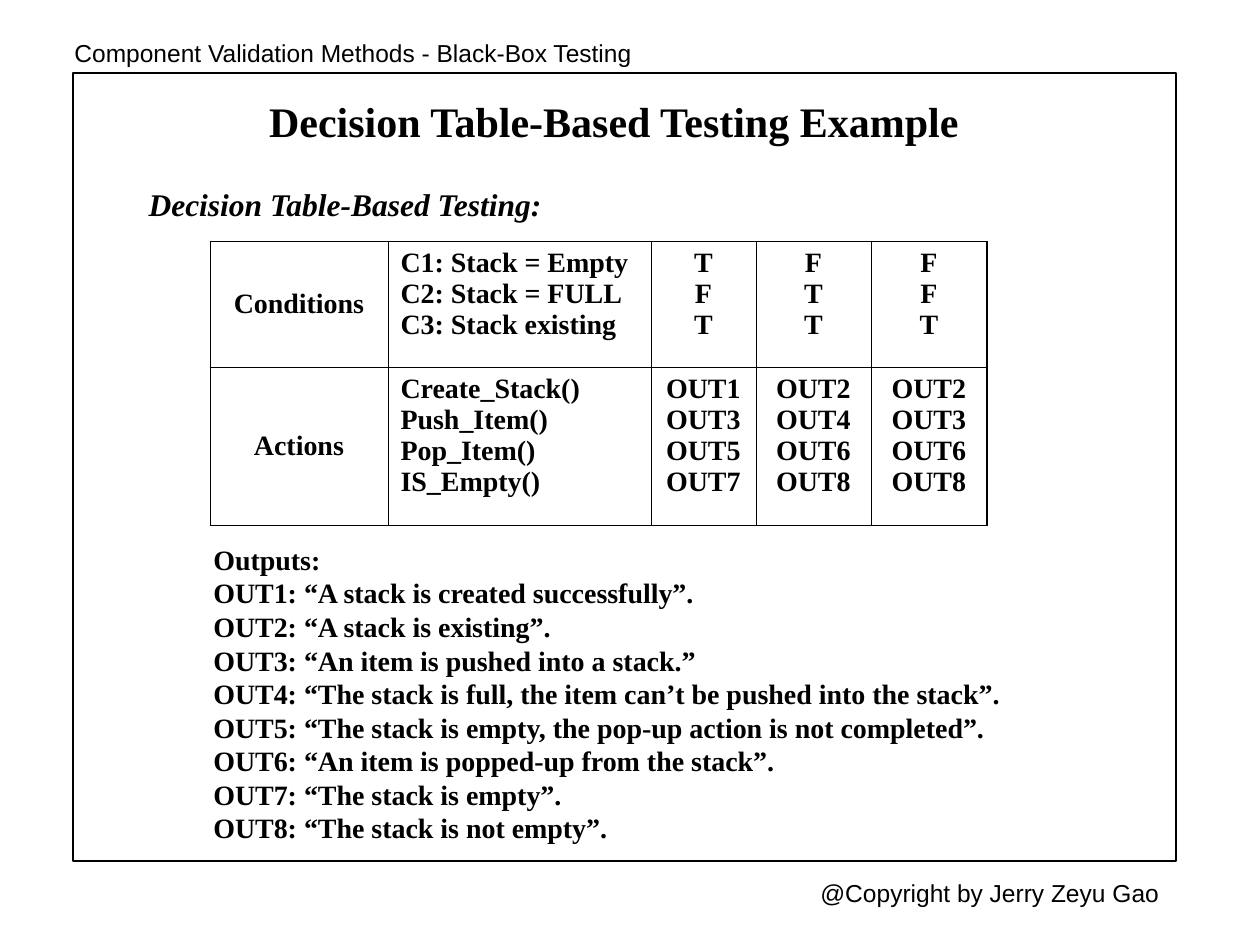
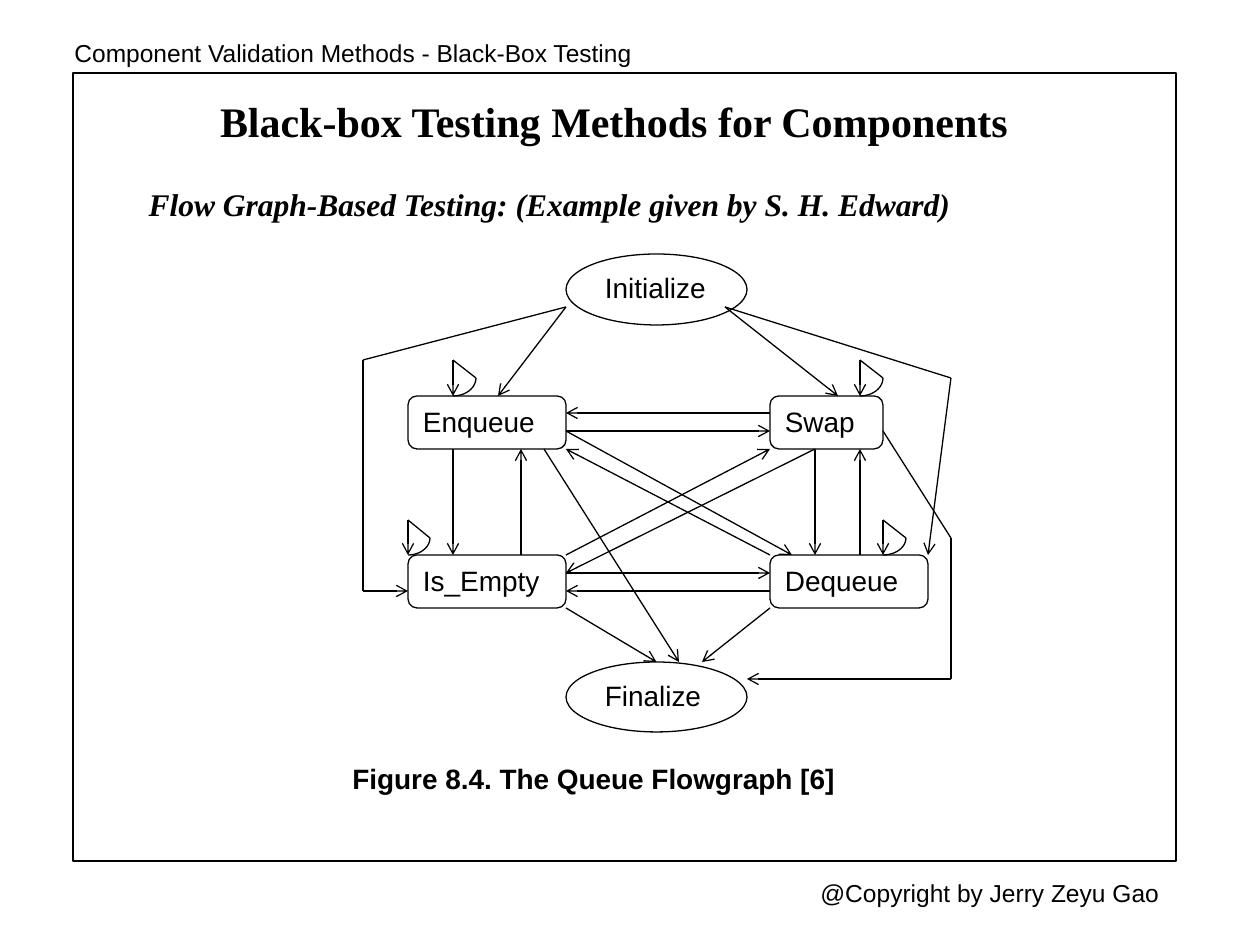
import itertools
import math

import pptx
import pptx.dml.color
import pptx.enum.shapes
import pptx.enum.text
import pptx.oxml
import pptx.oxml.ns
import pptx.util
from lxml import etree

PX = 914400 / 126
BLACK = pptx.dml.color.RGBColor(0x00, 0x00, 0x00)
SERIF = "Times New Roman"
SANS = "Arial"
LINE_WIDTH = 0.75

ALIGN = pptx.enum.text.PP_ALIGN
ANCHOR = pptx.enum.text.MSO_ANCHOR
AUTO_SIZE = pptx.enum.text.MSO_AUTO_SIZE
SHAPE = pptx.enum.shapes.MSO_SHAPE

HEADER = "Component Validation Methods - Black-Box Testing"
FOOTER = "@Copyright by Jerry Zeyu Gao"

DECISION_COLUMNS = [178, 263, 105, 115, 116]
DECISION_ROWS = [126, 158]
DECISIONS = [
    ["Conditions",
     "C1: Stack = Empty\nC2: Stack = FULL\nC3: Stack existing",
     "T\nF\nT", "F\nT\nT", "F\nF\nT"],
    ["Actions",
     "Create_Stack()\nPush_Item()\nPop_Item()\nIS_Empty()",
     "OUT1\nOUT3\nOUT5\nOUT7", "OUT2\nOUT4\nOUT6\nOUT8", "OUT2\nOUT3\nOUT6\nOUT8"],
]
OUTPUTS = [
    "Outputs:",
    "OUT1: “A stack is created successfully”.",
    "OUT2: “A stack is existing”.",
    "OUT3: “An item is pushed into a stack.”",
    "OUT4: “The stack is full, the item can’t be pushed into the stack”.",
    "OUT5: “The stack is empty, the pop-up action is not completed”.",
    "OUT6: “An item is popped-up from the stack”.",
    "OUT7: “The stack is empty”.",
    "OUT8: “The stack is not empty”.",
]

# Flowgraph positions are (column, row) on a fine grid.
STATES = [  # name, outline, column, row, columns wide, rows high
    ("Initialize", SHAPE.OVAL, 10, 0, 8, 4),
    ("Swap", SHAPE.FLOWCHART_ALTERNATE_PROCESS, 19, 8, 5, 3),
    ("Dequeue", SHAPE.FLOWCHART_ALTERNATE_PROCESS, 19, 17, 7, 3),
    ("Enqueue", SHAPE.FLOWCHART_ALTERNATE_PROCESS, 3, 8, 7, 3),
    ("Is_Empty", SHAPE.FLOWCHART_ALTERNATE_PROCESS, 3, 17, 7, 3),
    ("Finalize", SHAPE.OVAL, 10, 23, 8, 4),
]
TRANSITIONS = [
    [(10, 3), (7, 8)],                       # Initialize
    [(17, 3), (22, 8)],
    [(10, 3), (1, 6), (1, 19), (3, 19)],
    [(17, 3), (27, 7), (26, 17)],
    [(10, 10), (19, 10)],                    # Enqueue
    [(5, 11), (5, 17)],
    [(10, 10), (20, 17)],
    [(9, 11), (15, 23)],
    [(19, 9), (10, 9)],                      # Swap
    [(21, 11), (21, 17)],
    [(21, 11), (10, 18)],
    [(24, 10), (27, 16), (27, 24), (18, 24)],
    [(8, 17), (8, 11)],                      # Is_Empty
    [(10, 18), (19, 18)],
    [(10, 17), (19, 11)],
    [(19, 19), (10, 19)],                    # Dequeue
    [(23, 17), (23, 11)],
    [(19, 17), (10, 11)],
    [(19, 20), (16, 23)],
]
SELF_LOOPS = [(23, 8), (24, 17), (5, 8), (3, 17)]


def emu(*lengths):
    return [pptx.util.Emu(round(length * PX)) for length in lengths]


def grid(column, row):
    """Turn a flowgraph grid position into px."""
    return round(340 + 22.62 * column), round(254 + 17.72 * row)


def write(frame, text, font, size, bold=False, italic=False, align=ALIGN.LEFT):
    frame.text = text
    for paragraph in frame.paragraphs:
        paragraph.alignment = align
        paragraph.font.name = font
        paragraph.font.size = pptx.util.Pt(size)
        paragraph.font.bold = bold
        paragraph.font.italic = italic
        paragraph.font.color.rgb = BLACK


def place(placeholder, left, top, width, height):
    placeholder.left, placeholder.top, placeholder.width, placeholder.height = emu(
        left, top, width, height)
    placeholder.text_frame.auto_size = AUTO_SIZE.NONE
    return placeholder.text_frame


def add_label(slide, text, box, font, size, bold=False, wrap=False):
    frame = slide.shapes.add_textbox(*emu(*box)).text_frame
    frame.word_wrap = wrap
    if not wrap:
        frame.auto_size = AUTO_SIZE.SHAPE_TO_FIT_TEXT
    write(frame, text, font, size, bold)
    return frame


def outline(shape):
    shape.shadow.inherit = False
    shape.fill.background()
    shape.line.color.rgb = BLACK
    shape.line.width = pptx.util.Pt(LINE_WIDTH)
    return shape


def add_topic_slide(deck, title, topic):
    """Add a slide with the shared frame, header, footer, title and topic line."""
    slide = deck.slides.add_slide(deck.slide_layouts[1])

    title_frame = place(slide.shapes.title, 189, 73, 850, 95)
    title_frame.vertical_anchor = ANCHOR.MIDDLE
    write(title_frame, title, SERIF, 24, bold=True, align=ALIGN.CENTER)

    topic_frame = place(slide.placeholders[1], 136, 179, 987, 577)
    write(topic_frame, topic, SERIF, 18, bold=True, italic=True)
    topic_line = topic_frame.paragraphs[0]
    topic_line.space_before = pptx.util.Pt(4.5)
    run_defaults = topic_line._p.pPr.find(pptx.oxml.ns.qn("a:defRPr"))
    run_defaults.addprevious(etree.Element(pptx.oxml.ns.qn("a:buNone")))

    outline(slide.shapes.add_shape(SHAPE.RECTANGLE, *emu(73, 73, 1103, 788)))
    add_label(slide, FOOTER, (808, 872, 364, 43), SANS, 14)
    add_label(slide, HEADER, (62, 32, 587, 43), SANS, 14)
    return slide


def add_cell_border(cell, side, points):
    properties = cell._tc.get_or_add_tcPr()
    border = etree.SubElement(properties, pptx.oxml.ns.qn(f"a:ln{side}"),
                              w=str(pptx.util.Pt(points)))
    fill = etree.SubElement(border, pptx.oxml.ns.qn("a:solidFill"))
    etree.SubElement(fill, pptx.oxml.ns.qn("a:srgbClr"), val=str(BLACK))


def add_decision_table(slide):
    table = slide.shapes.add_table(
        len(DECISION_ROWS), len(DECISION_COLUMNS),
        *emu(210, 241, sum(DECISION_COLUMNS), sum(DECISION_ROWS))).table
    table.first_row = table.horz_banding = False
    for column, width in zip(table.columns, emu(*DECISION_COLUMNS)):
        column.width = width
    for row, height in zip(table.rows, emu(*DECISION_ROWS)):
        row.height = height

    last = len(DECISION_COLUMNS) - 1
    for r, entries in enumerate(DECISIONS):
        for c, entry in enumerate(entries):
            cell = table.cell(r, c)
            write(cell.text_frame, entry, SERIF, 16, bold=True,
                  align=ALIGN.LEFT if c == 1 else ALIGN.CENTER)
            cell.vertical_anchor = ANCHOR.MIDDLE if c == 0 else ANCHOR.TOP
            for side in "LRTB":
                add_cell_border(cell, side, 1.47 if side == "R" and c == last else 0.45)
            cell.fill.background()


def add_state(slide, name, form, column, row, columns, rows):
    left, top = grid(column, row)
    right, bottom = grid(column + columns, row + rows)
    state = outline(slide.shapes.add_shape(
        form, *emu(left, top, right - left, bottom - top)))
    state.text_frame.vertical_anchor = ANCHOR.TOP
    write(state.text_frame, name, SANS, 16)
    return state


def add_segment(slide, start, end, arrow=False):
    segment = slide.shapes.add_connector(
        pptx.enum.shapes.MSO_CONNECTOR.STRAIGHT, *emu(*grid(*start), *grid(*end)))
    segment.line.color.rgb = BLACK
    segment.line.width = pptx.util.Pt(LINE_WIDTH)
    if arrow:
        etree.SubElement(segment.line._get_or_add_ln(),
                         pptx.oxml.ns.qn("a:tailEnd"), type="arrow")
    etree.SubElement(segment._element.spPr, pptx.oxml.ns.qn("a:effectLst"))
    return segment


def add_transition(slide, stops):
    """Draw straight segments through the stops, with an arrowhead at the last."""
    legs = list(itertools.pairwise(stops))
    for start, end in legs[:-1]:
        add_segment(slide, start, end)
    return add_segment(slide, *legs[-1], arrow=True)


def add_self_loop(slide, column, row):
    """Draw a loop that leaves a state's top edge and returns to the same point."""
    left, top = grid(column, row - 1)
    right, bottom = grid(column + 1, row)
    steps = 12
    angles = [math.pi / 2 * step / steps for step in range(steps + 1)]
    bend = [(left + (right - left) * math.sin(angle),
             top + (bottom - top) * math.cos(angle)) for angle in angles]
    builder = slide.shapes.build_freeform(*emu(*bend[0]))
    builder.add_line_segments([emu(*point) for point in bend[1:]], close=False)
    outline(builder.convert_to_shape())
    add_transition(slide, [(column + 1, row - 1), (column, row - 2), (column, row)])


def add_flowgraph(slide):
    states = {state[0]: add_state(slide, *state) for state in STATES}
    for stops in TRANSITIONS:
        add_transition(slide, stops)
    finish = add_transition(slide, [(10, 20), (14, 23)])
    finish.end_connect(states["Finalize"], 0)
    for column, row in SELF_LOOPS:
        add_self_loop(slide, column, row)
    add_label(slide, "Figure 8.4. The Queue Flowgraph [6]", (340, 755, 678, 53),
              SANS, 16, bold=True, wrap=True)


def main():
    deck = pptx.Presentation()
    deck.slide_width, deck.slide_height = emu(1260, 945)

    decision_slide = add_topic_slide(
        deck, "Decision Table-Based Testing Example", "Decision Table-Based Testing:")
    add_decision_table(decision_slide)
    outputs = add_label(decision_slide, "\n".join(OUTPUTS), (201, 536, 820, 315),
                        SERIF, 16, bold=True, wrap=True)
    outputs.vertical_anchor = ANCHOR.MIDDLE

    flow_slide = add_topic_slide(
        deck, "Black-box Testing Methods for Components",
        "Flow Graph-Based Testing: (Example given by S. H. Edward)")
    add_flowgraph(flow_slide)

    deck.save("out.pptx")


if __name__ == "__main__":
    main()
